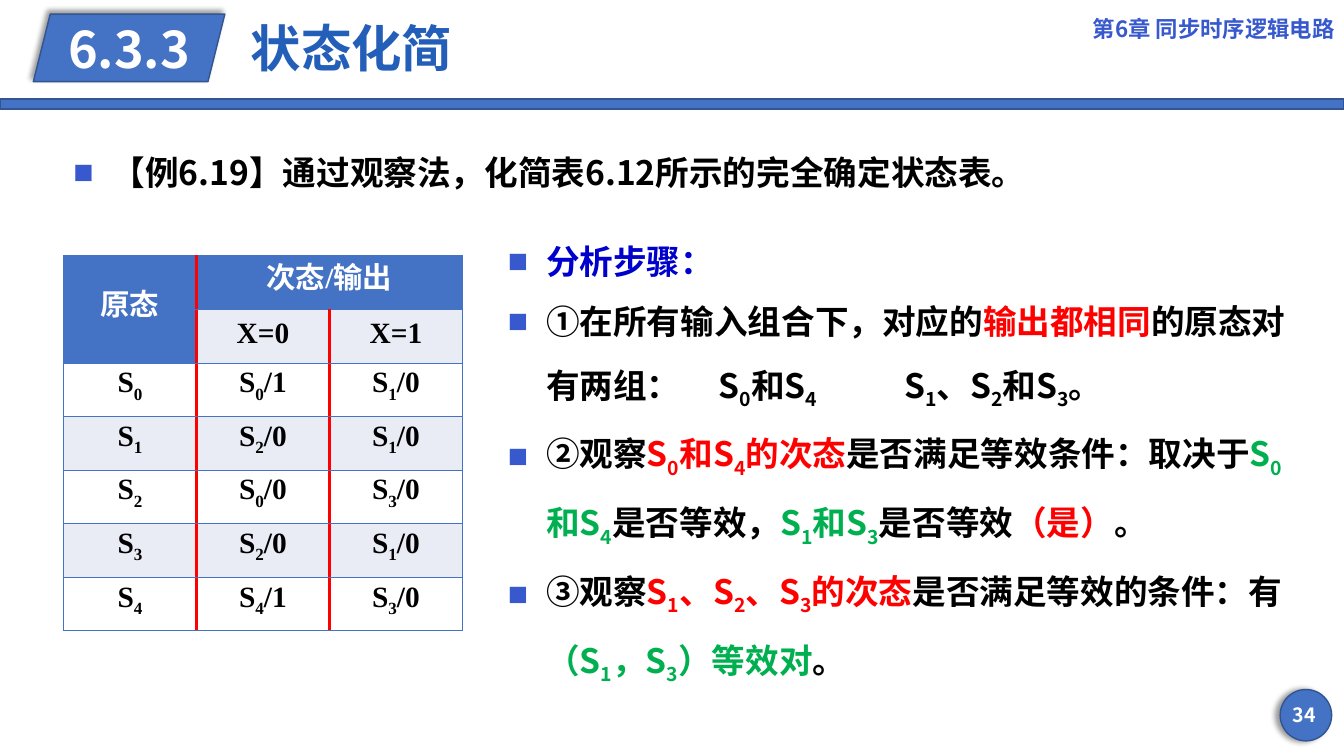
import lxml.etree
import pptx
import pptx.dml.color
import pptx.enum.shapes
import pptx.enum.text
import pptx.oxml.ns
import pptx.util

RGB = pptx.dml.color.RGBColor
BLUE = RGB(0x44, 0x72, 0xC4)
OUTLINE = RGB(0x32, 0x54, 0x91)
TITLE = RGB(0x23, 0x5E, 0xB8)
ACCENT = RGB(0x38, 0x59, 0xCD)
NAVY = RGB(0x00, 0x00, 0xCC)
PALE = RGB(0xE9, 0xEB, 0xF5)
RED = RGB(0xFF, 0x00, 0x00)
GREEN = RGB(0x00, 0xB0, 0x50)
BLACK = RGB(0x00, 0x00, 0x00)
WHITE = RGB(0xFF, 0xFF, 0xFF)

SANS = "Noto Sans CJK SC"
SERIF = "Times New Roman"
SHAPE = pptx.enum.shapes.MSO_SHAPE
ALIGN = pptx.enum.text.PP_ALIGN
ANCHOR = pptx.enum.text.MSO_ANCHOR


def add_xml(parent, tag, **attrs):
    return lxml.etree.SubElement(parent, pptx.oxml.ns.qn(tag), attrs)


class Deck:
    def __init__(self):
        self.prs = pptx.Presentation()
        self.prs.slide_width = pptx.util.Inches(13.33)
        self.prs.slide_height = pptx.util.Inches(7.5)
        self.s = self.prs.slides.add_slide(self.prs.slide_layouts[6])

    def box(self, left, top, width, height):
        w, h = self.prs.slide_width, self.prs.slide_height
        shares = zip((left, top, width, height), (w, h, w, h))
        return [round(share * size / 100) for share, size in shares]

    def runs(self, p, parts, size, font=SANS):
        for text, color in parts:
            head, *tails = text.split("_")
            pieces = [(head, False)]
            for tail in tails:
                pieces += [(tail[0], True), (tail[1:], False)]
            for piece, is_sub in pieces:
                if not piece:
                    continue
                r = p.add_run()
                r.text = piece
                r.font.size = pptx.util.Pt(size)
                r.font.bold = True
                r.font.name = font
                r.font.color.rgb = color
                rPr = r.font._element
                add_xml(rPr, "a:ea", typeface=SANS)
                if is_sub:
                    rPr.set("baseline", "-25000")

    def shape(self, kind, place, shadow_angle=None):
        sp = self.s.shapes.add_shape(kind, *self.box(*place))
        sp.shadow.inherit = False
        sp.fill.solid()
        sp.fill.fore_color.rgb = BLUE
        sp.line.color.rgb = OUTLINE
        sp.line.width = pptx.util.Pt(1)
        if shadow_angle is not None:
            effects = sp._element.spPr.find(pptx.oxml.ns.qn("a:effectLst"))
            shadow = add_xml(effects, "a:outerShdw", blurRad=str(pptx.util.Pt(4)),
                             dist=str(pptx.util.Pt(3)), dir=str(shadow_angle * 60000),
                             algn="ctr", rotWithShape="0")
            add_xml(add_xml(shadow, "a:srgbClr", val=str(BLACK)), "a:alpha", val="40000")
        return sp

    def label(self, sp, text, size, color, align, spacing=None):
        tf = sp.text_frame
        tf.word_wrap = True
        tf.vertical_anchor = ANCHOR.MIDDLE
        p = tf.paragraphs[0]
        p.alignment = align
        p.line_spacing = spacing
        self.runs(p, [(text, color)], size)

    def textbox(self, place):
        return self.s.shapes.add_textbox(*self.box(*place))

    def bullets(self, place, items, tabs=()):
        tf = self.textbox(place).text_frame
        tf.word_wrap = True
        tf.auto_size = pptx.enum.text.MSO_AUTO_SIZE.SHAPE_TO_FIT_TEXT
        for i, parts in enumerate(items):
            p = tf.add_paragraph() if i else tf.paragraphs[0]
            p.line_spacing = 1.5
            pPr = p._p.get_or_add_pPr()
            indent = pptx.util.Inches(0.38)
            pPr.set("marL", str(indent))
            pPr.set("indent", str(-indent))
            add_xml(add_xml(pPr, "a:buClr"), "a:srgbClr", val=str(ACCENT))
            add_xml(pPr, "a:buFont", typeface=SERIF)
            add_xml(pPr, "a:buChar", char="■")
            if any("\t" in text for text, _ in parts):
                stops = add_xml(pPr, "a:tabLst")
                for stop in tabs:
                    add_xml(stops, "a:tab", pos=str(pptx.util.Inches(stop)), algn="l")
            self.runs(p, parts, 24)

    def cell(self, cell, text, fill, color, red_left, red_right):
        cell.fill.solid()
        cell.fill.fore_color.rgb = fill
        cell.vertical_anchor = ANCHOR.MIDDLE
        cell.margin_left = cell.margin_right = pptx.util.Inches(0.15)
        cell.margin_top = cell.margin_bottom = 0
        p = cell.text_frame.paragraphs[0]
        p.alignment = ALIGN.CENTER
        p.line_spacing = pptx.util.Pt(20)
        self.runs(p, [(text, color)], 21, SERIF)
        tcPr = cell._tc.get_or_add_tcPr()
        sides = [("L", red_left), ("R", red_right), ("T", False), ("B", False)]
        for i, (side, is_red) in enumerate(sides):
            width = pptx.util.Pt(2.25 if is_red else 1)
            ln = add_xml(tcPr, "a:ln" + side, w=str(width))
            add_xml(add_xml(ln, "a:solidFill"), "a:srgbClr", val=str(RED if is_red else BLUE))
            tcPr.insert(i, ln)

    def state_table(self, place, rows):
        n_rows, n_cols = len(rows), len(rows[0])
        table = self.s.shapes.add_table(n_rows, n_cols, *self.box(*place)).table
        table.cell(0, 0).merge(table.cell(1, 0))
        table.cell(0, 1).merge(table.cell(0, 2))
        for r, row in enumerate(rows):
            for c, text in enumerate(row):
                is_head = r == 0 or (r == 1 and c == 0)
                fill = BLUE if is_head else PALE if r % 2 else WHITE
                self.cell(table.cell(r, c), text, fill, WHITE if is_head else BLACK,
                          c > 0 and (r, c) != (0, 2), c < 2 and (r, c) != (0, 1))


def main():
    deck = Deck()
    deck.shape(SHAPE.RECTANGLE, (0, 13.07, 100, 1.33))
    deck.shape(SHAPE.OVAL, (95.25, 91.2, 3.83, 6.8), 180)
    deck.label(deck.textbox((94.72, 91.87, 4.65, 5.33)), "34", 14, WHITE, ALIGN.CENTER)
    section = deck.shape(SHAPE.PARALLELOGRAM, (2.48, 1.87, 14.25, 8.93), 225)
    deck.label(section, "6.3.3", 36, WHITE, ALIGN.CENTER)
    section.text_frame.word_wrap = False
    deck.label(deck.textbox((17.92, 1.47, 51.6, 10.67)), "状态化简", 36, TITLE, ALIGN.LEFT, 0.9)
    deck.label(deck.textbox((79.12, 0, 20.92, 7.47)), "第6章 同步时序逻辑电路", 16, ACCENT, ALIGN.RIGHT)
    deck.bullets((4.72, 16.8, 88.58, 9.47),
                 [[("【例6.19】通过观察法，化简表6.12所示的完全确定状态表。", BLACK)]])
    deck.state_table((4.72, 33.87, 29.7, 49.6), [
        ("原态", "次态/输出", ""),
        ("", "X=0", "X=1"),
        ("S_0", "S_0/1", "S_1/0"),
        ("S_1", "S_2/0", "S_1/0"),
        ("S_2", "S_0/0", "S_3/0"),
        ("S_3", "S_2/0", "S_1/0"),
        ("S_4", "S_4/1", "S_3/0"),
    ])
    deck.bullets((37.05, 28.53, 59.48, 57.87), [
        [("分析步骤：", NAVY)],
        [("①在所有输入组合下，对应的", BLACK), ("输出都相同", RED),
         ("的原态对有两组：\tS_0和S_4\tS_1、S_2和S_3。", BLACK)],
        [("②观察", BLACK), ("S_0和S_4的次态", RED), ("是否满足等效条件：取决于", BLACK),
         ("S_0和S_4", GREEN), ("是否等效，", BLACK), ("S_1和S_3", GREEN),
         ("是否等效", BLACK), ("（是）", RED), ("。", BLACK)],
        [("③观察", BLACK), ("S_1、S_2、S_3的次态", RED), ("是否满足等效的条件：有", BLACK),
         ("（S_1，S_3）等效对", GREEN), ("。", BLACK)],
    ], tabs=(2.09, 3.93))
    deck.prs.save("out.pptx")


if __name__ == "__main__":
    main()
